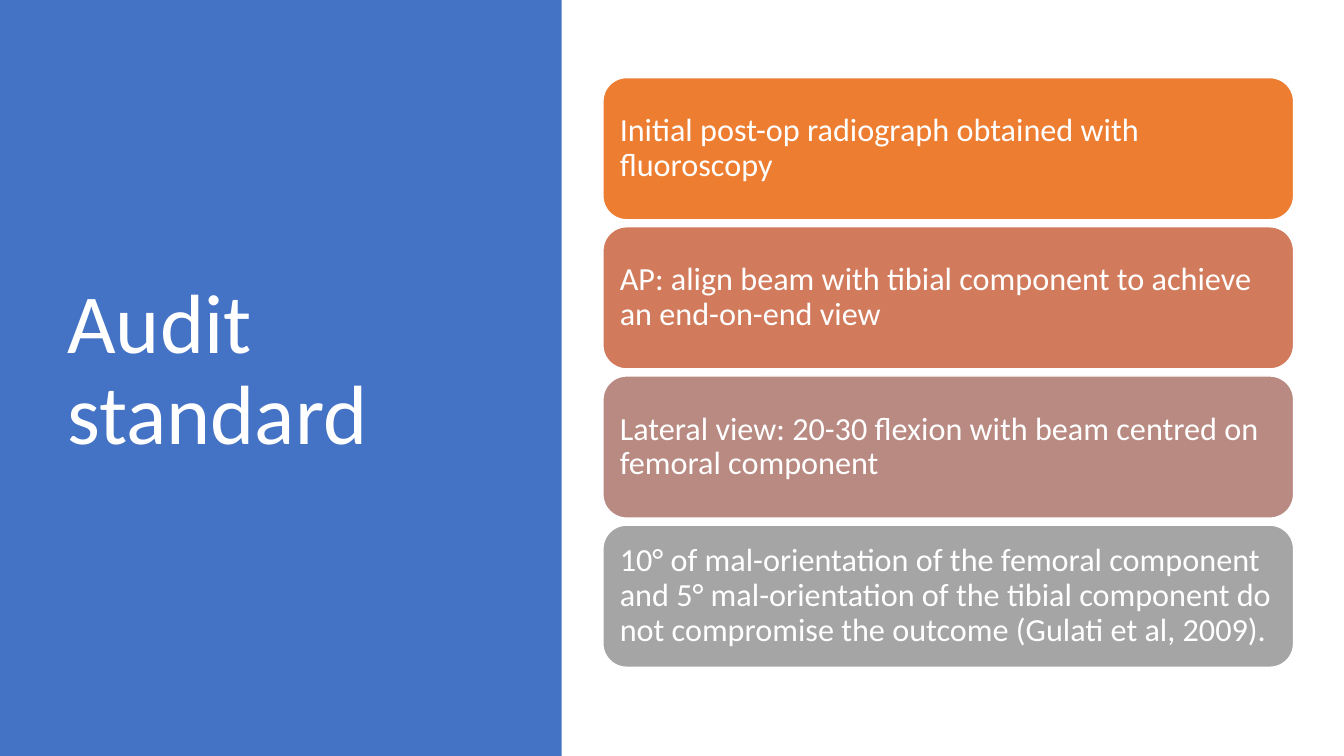
import pptx
import pptx.dml.color
import pptx.enum.shapes
import pptx.enum.text
import pptx.util

TITLE = "Audit standard"
STANDARDS = [
    ("Initial post-op radiograph obtained with fluoroscopy", "ED7D31"),
    ("AP: align beam with tibial component to achieve an end-on-end view", "D17B5C"),
    ("Lateral view: 20-30 flexion with beam centred on femoral component", "B98A82"),
    ("10° of mal-orientation of the femoral component and 5° mal-orientation of the "
     "tibial component do not compromise the outcome (Gulati et al, 2009).", "A5A5A5"),
]
WHITE, BLUE = "FFFFFF", "4472C4"
FONT = "Calibri"

# Layout in inches
SLIDE_WIDTH, SLIDE_HEIGHT = 13.33, 7.5
PANEL_WIDTH = 5.57
TITLE_BOX = (0.57, 0.68, 4.16, 6.02)
CARD_LEFT, CARD_TOP = 5.98, 0.77
CARD_WIDTH, CARD_HEIGHT = 6.85, 1.41
CARD_PITCH = 1.48

SHAPES = pptx.enum.shapes.MSO_SHAPE


def color(hex_string):
    return pptx.dml.color.RGBColor.from_string(hex_string)


def add_filled_shape(slide, kind, box, fill):
    shape = slide.shapes.add_shape(kind, *map(pptx.util.Inches, box))
    shape.shadow.inherit = False
    shape.fill.solid()
    shape.fill.fore_color.rgb = color(fill)
    shape.line.fill.background()
    return shape


def write_text(shape, text, size):
    frame = shape.text_frame
    frame.word_wrap = True
    frame.vertical_anchor = pptx.enum.text.MSO_ANCHOR.MIDDLE
    frame.margin_left = frame.margin_right = pptx.util.Inches(0.1)
    paragraph = frame.paragraphs[0]
    paragraph.alignment = pptx.enum.text.PP_ALIGN.LEFT
    paragraph.line_spacing = 0.9
    run = paragraph.add_run()
    run.text = text
    run.font.size = pptx.util.Pt(size)
    run.font.name = FONT
    run.font.color.rgb = color(WHITE)


def main():
    presentation = pptx.Presentation()
    presentation.slide_width = pptx.util.Inches(SLIDE_WIDTH)
    presentation.slide_height = pptx.util.Inches(SLIDE_HEIGHT)
    slide = presentation.slides.add_slide(presentation.slide_layouts[6])

    # Title panel
    add_filled_shape(slide, SHAPES.RECTANGLE, (0, 0, PANEL_WIDTH, SLIDE_HEIGHT), BLUE)
    title = slide.shapes.add_textbox(*map(pptx.util.Inches, TITLE_BOX))
    write_text(title, TITLE, 60)

    # Stack of standards
    for row, (text, fill) in enumerate(STANDARDS):
        box = (CARD_LEFT, CARD_TOP + row * CARD_PITCH, CARD_WIDTH, CARD_HEIGHT)
        card = add_filled_shape(slide, SHAPES.ROUNDED_RECTANGLE, box, fill)
        card.line.color.rgb = color(WHITE)
        card.line.width = pptx.util.Pt(1)
        write_text(card, text, 23)

    presentation.save("out.pptx")


if __name__ == "__main__":
    main()
